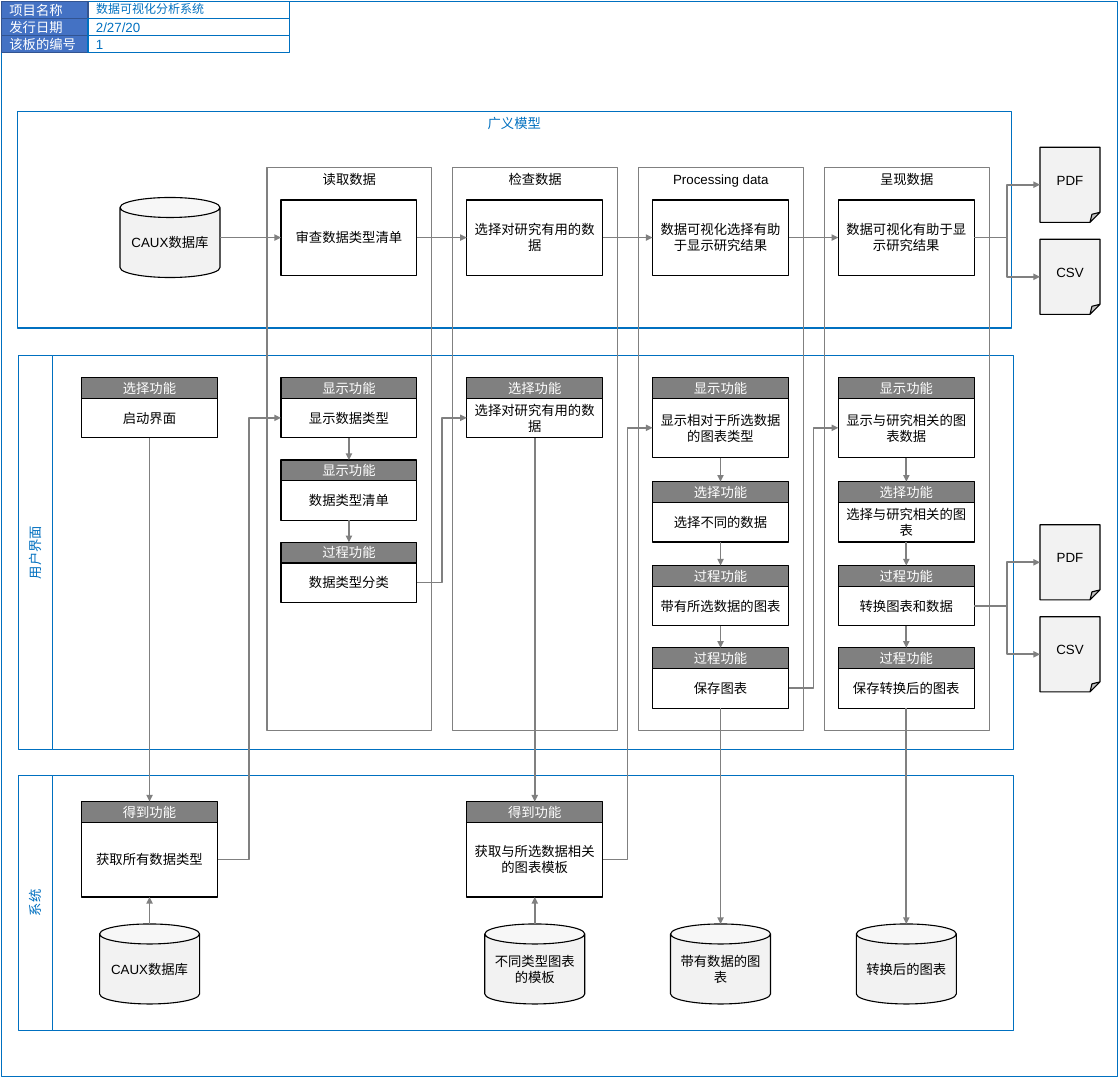
import pptx
import pptx.util
import pptx.dml.color
import pptx.enum.shapes
import pptx.enum.text
import pptx.oxml.ns
from lxml import etree

Pt = pptx.util.Pt
Kind = pptx.enum.shapes.MSO_SHAPE
Wire = pptx.enum.shapes.MSO_CONNECTOR
Align = pptx.enum.text.PP_ALIGN
Anchor = pptx.enum.text.MSO_ANCHOR
rgb = pptx.dml.color.RGBColor.from_string
qn = pptx.oxml.ns.qn


class Theme:
    font, size, small = "Arial", 12, 10.8
    edge, stroke = 1, 1.5
    gray = "808080"
    base = dict(fill=None, line="000000", ink="000000", size=size,
                align=Align.CENTER, anchor=Anchor.MIDDLE)
    key = base | dict(fill="4472C4", line="325491", ink="FFFFFF", align=Align.LEFT)
    value = base | dict(line="0070C0", ink="0070C0", align=Align.LEFT)
    title = value | dict(size=small)
    frame = value | dict(align=Align.CENTER)
    band = frame | dict(fill="FFFFFF", anchor=Anchor.TOP)
    side = band | dict(anchor=Anchor.MIDDLE)
    stage = base | dict(line=gray, anchor=Anchor.TOP)
    body = base | dict(fill="FFFFFF")
    head = base | dict(fill=gray, ink="FFFFFF")
    store = base | dict(fill="F2F2F2")


deck = pptx.Presentation()
deck.slide_width, deck.slide_height = Pt(1008), Pt(972)
slide = deck.slides.add_slide(deck.slide_layouts[5])
shapes = slide.shapes


def box(at, text, look, kind=Kind.RECTANGLE, shape=None):
    """Place a shape, new unless one is given, and style it and its text."""
    if shape is None:
        shape = shapes.add_shape(kind, 0, 0, 0, 0)
        shape.shadow.inherit = False
    for name, size in zip(("left", "top", "width", "height"), at):
        setattr(shape, name, Pt(size))
    if look["fill"]:
        shape.fill.solid()
        shape.fill.fore_color.rgb = rgb(look["fill"])
    else:
        shape.fill.background()
    shape.line.color.rgb = rgb(look["line"])
    shape.line.width = Pt(Theme.edge)
    frame = shape.text_frame
    frame.text = text
    setup = dict(word_wrap=True, vertical_anchor=look["anchor"],
                 auto_size=pptx.enum.text.MSO_AUTO_SIZE.NONE,
                 margin_left=Pt(7.2), margin_right=Pt(7.2),
                 margin_top=Pt(3.6), margin_bottom=Pt(3.6))
    for name, item in setup.items():
        setattr(frame, name, item)
    para = frame.paragraphs[0]
    para.alignment = look["align"]
    para.font.name, para.font.size = Theme.font, Pt(look["size"])
    para.font.color.rgb = rgb(look["ink"])
    return shape


def link(start, out, end, into, bent=False):
    """Draw an arrow between two sides (0 top, 1 left, 2 bottom, 3 right)."""
    spots = ((0.5, 0), (0, 0.5), (0.5, 1), (1, 0.5))
    ends = []
    for shape, side in ((start, out), (end, into)):
        across, down = spots[side]
        ends += [int(shape.left + across * shape.width),
                 int(shape.top + down * shape.height)]
    wire = shapes.add_connector(Wire.ELBOW if bent else Wire.STRAIGHT, *ends)
    if not bent:
        if start.auto_shape_type == Kind.RECTANGLE:
            wire.begin_connect(start, out)
        if end.auto_shape_type == Kind.RECTANGLE:
            wire.end_connect(end, into)
    wire.line.color.rgb = rgb(Theme.gray)
    wire.line.width = Pt(Theme.stroke)
    etree.SubElement(wire.line._get_or_add_ln(), qn("a:tailEnd"), type="triangle")
    etree.SubElement(wire._element.spPr, qn("a:effectLst"))


# Title block
box((1.4, 1.4, 1004.4, 967.7), "", Theme.frame)
facts = [("项目名称", "数据可视化分析系统"), ("发行日期", "2/27/20"), ("该板的编号", "1")]
for row, (key, value) in enumerate(facts):
    top = 1.4 + 15.2 * row
    box((1.4, top, 77.8, 15.2), key, Theme.key)
    spot = (79.2, top, 181.4, 15.2)
    if row == 0:
        box(spot, value, Theme.title, shape=shapes.title)
        shapes.title.text_frame.paragraphs[0].line_spacing = 0.9
    else:
        box(spot, value, Theme.value)

# Bands, two of them with a label turned on its side
box((15.8, 100.1, 894.2, 195.1), "广义模型", Theme.band)
for text, top, tall in (("用户界面", 319.7, 355), ("系统", 697.7, 229.7)):
    box((18, top, 894.2, tall), "", Theme.band)
    wide = 31
    label = box((32 - tall / 2, top + tall / 2 - wide / 2, tall, wide), text, Theme.side)
    label.rotation = 270

# Stages with their general steps
cols = [73.4] + [252.9 + 167.2 * n for n in range(4)]
wide = 122.4
stages = [("读取数据", "审查数据类型清单"),
          ("检查数据", "选择对研究有用的数据"),
          ("Processing data", "数据可视化选择有助于显示研究结果"),
          ("呈现数据", "数据可视化有助于显示研究结果")]
steps = []
for left, (name, text) in zip(cols[1:], stages):
    box((left - 12.6, 150.5, 148.3, 507), name, Theme.stage)
    steps.append(box((left, 180, wide, 67.6), text, Theme.body))

# Cards: column, top, body height, function, text
cards = [
    (0, 339.8, 36, "选择功能", "启动界面"),
    (0, 721.4, 67.6, "得到功能", "获取所有数据类型"),
    (1, 339.8, 36, "显示功能", "显示数据类型"),
    (1, 414, 36, "显示功能", "数据类型清单"),
    (1, 488, 36, "过程功能", "数据类型分类"),
    (2, 339.8, 36, "选择功能", "选择对研究有用的数据"),
    (2, 721.4, 67.6, "得到功能", "获取与所选数据相关的图表模板"),
    (3, 339.8, 54, "显示功能", "显示相对于所选数据的图表类型"),
    (3, 433.5, 36, "选择功能", "选择不同的数据"),
    (3, 509, 36, "过程功能", "带有所选数据的图表"),
    (3, 583, 36, "过程功能", "保存图表"),
    (4, 339.8, 54, "显示功能", "显示与研究相关的图表数据"),
    (4, 433.5, 36, "选择功能", "选择与研究相关的图表"),
    (4, 509, 36, "过程功能", "转换图表和数据"),
    (4, 583, 36, "过程功能", "保存转换后的图表"),
]
stacks = [[] for _ in cols]
for col, top, tall, role, text in cards:
    body = box((cols[col], top + 18.3, wide, tall), text, Theme.body)
    head = box((cols[col], top, wide, 18.7), role, Theme.head)
    stacks[col].append((head, body))

# Data stores and output files
source = box((108, 177.8, 90, 72), "CAUX数据库", Theme.store, Kind.CAN)
stores = {}
for col, text in ((0, "CAUX数据库"), (2, "不同类型图表的模板"),
                  (3, "带有数据的图表"), (4, "转换后的图表")):
    spot = (cols[col] + (wide - 90) / 2, 831.6, 90, 72)
    stores[col] = box(spot, text, Theme.store, Kind.CAN)
for origin, top in ((steps[-1], 132.5), (stacks[4][2][1], 472.3)):
    for row, text in enumerate(("PDF", "CSV")):
        spot = (936, top + 82.8 * row, 54, 67.6)
        page = box(spot, text, Theme.store, Kind.FOLDED_CORNER)
        link(origin, 3, page, 1, bent=True)

# Arrows along the general steps, down the stacks, and to the stores
chain = [source] + steps
for start, end in zip(chain, chain[1:]):
    link(start, 3, end, 1)
for stack in stacks:
    for upper, lower in zip(stack, stack[1:]):
        link(upper[1], 2, lower[0], 0)
for col, store in stores.items():
    last = stacks[col][-1][1]
    if col < 3:
        link(store, 0, last, 2)
    else:
        link(last, 2, store, 0)
for left, right in zip(stacks, stacks[1:]):
    link(left[-1][1], 3, right[0][1], 1, bent=True)

deck.save("out.pptx")
